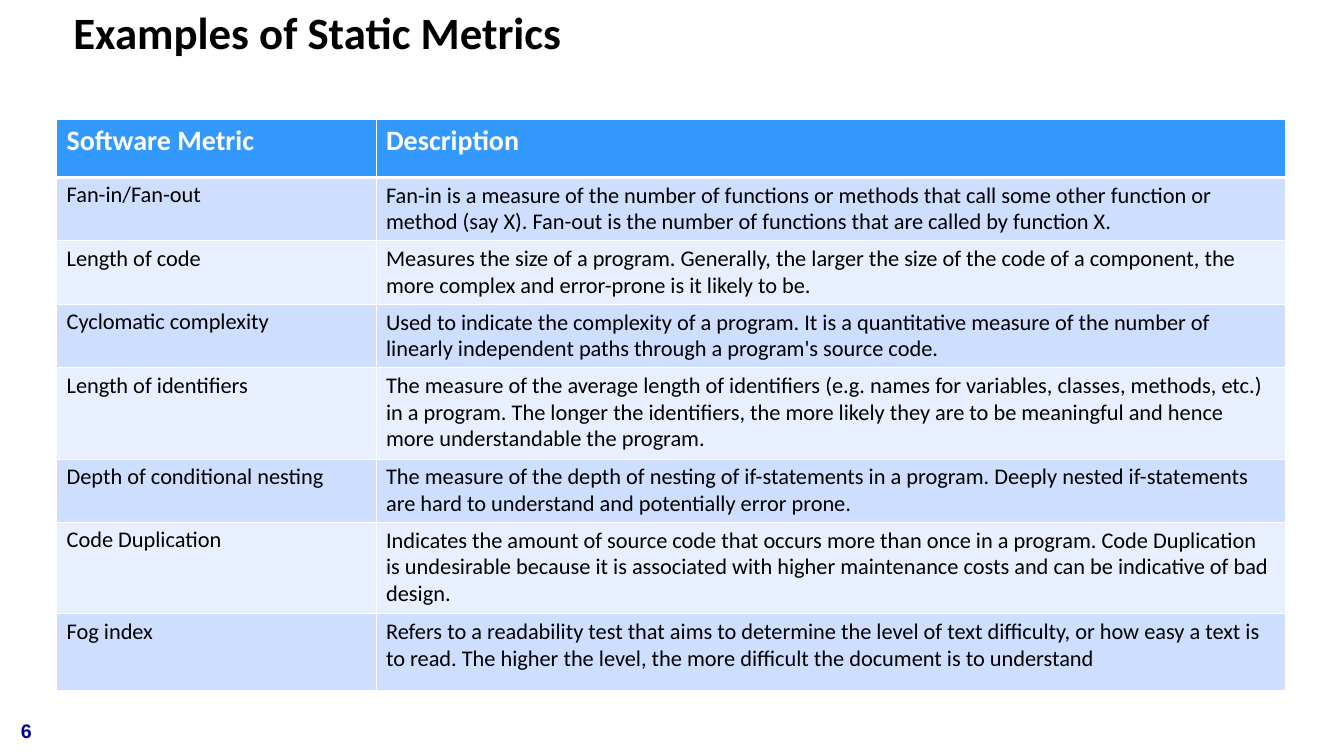
from lxml.etree import SubElement
from pptx import Presentation
from pptx.dml.color import RGBColor
from pptx.enum.text import MSO_ANCHOR
from pptx.oxml.ns import qn
from pptx.util import Cm, Pt

BLACK = RGBColor(0x00, 0x00, 0x00)
WHITE = RGBColor(0xFF, 0xFF, 0xFF)
NAVY = RGBColor(0x00, 0x00, 0x99)
HEADER_BLUE = RGBColor(0x33, 0x99, 0xFF)
BAND_DARK = RGBColor(0xCD, 0xDE, 0xFF)
BAND_LIGHT = RGBColor(0xE8, 0xEF, 0xFF)

TITLE_FONT = {"name": "Calibri", "size": Pt(32), "bold": True}
HEADER_FONT = {"name": "Calibri", "size": Pt(20), "bold": True}
BODY_FONT = {"name": "Calibri", "size": Pt(16), "bold": False}
NUMBER_FONT = {"name": "Arial", "size": Pt(14), "bold": True}

NAME_MARGINS = {"margin_left": Cm(0.25), "margin_top": Cm(0.1),
                "margin_right": 0, "margin_bottom": 0}
DESCRIPTION_MARGINS = NAME_MARGINS | {"margin_top": Cm(0.13), "margin_right": Cm(0.4)}
WIDE_MARGINS = DESCRIPTION_MARGINS | {"margin_right": Cm(0.3)}

COLUMN_WIDTHS = (8.05, 22.91)
HEADER_HEIGHT = 1.45
HEADERS = ("Software Metric", "Description")
# Metric, description, row height in cm, margins of the description
METRICS = (
    ("Fan-in/Fan-out",
     "Fan-in is a measure of the number of functions or methods that call some other "
     "function or method (say X). Fan-out is the number of functions that are called "
     "by function X.", 1.6, DESCRIPTION_MARGINS),
    ("Length of code",
     "Measures the size of a program. Generally, the larger the size of the code of a "
     "component, the more complex and error-prone is it likely to be.",
     1.6, DESCRIPTION_MARGINS),
    ("Cyclomatic complexity",
     "Used to indicate the complexity of a program. It is a quantitative measure of the "
     "number of linearly independent paths through a program's source code.",
     1.6, DESCRIPTION_MARGINS),
    ("Length of identifiers",
     "The measure of the average length of identifiers (e.g. names for variables, "
     "classes, methods, etc.) in a program. The longer the identifiers, the more likely "
     "they are to be meaningful and hence more understandable the program.",
     2.3, DESCRIPTION_MARGINS),
    ("Depth of conditional nesting",
     "The measure of the depth of nesting of if-statements in a program. Deeply nested "
     "if-statements are hard to understand and potentially error prone.",
     1.6, DESCRIPTION_MARGINS),
    ("Code Duplication",
     "Indicates the amount of source code that occurs more than once in a program. Code "
     "Duplication is undesirable because it is associated with higher maintenance costs "
     "and can be indicative of bad design.", 2.3, WIDE_MARGINS),
    ("Fog index",
     "Refers to a readability test that aims to determine the level of text difficulty, "
     "or how easy a text is to read. The higher the level, the more difficult the "
     "document is to understand", 1.94, DESCRIPTION_MARGINS),
)


def apply_format(target, values):
    for attribute, value in values.items():
        setattr(target, attribute, value)


def write(frame, text, font, color, line_spacing=None):
    paragraph = frame.paragraphs[0]
    paragraph.line_spacing = line_spacing
    run = paragraph.add_run()
    run.text = text
    apply_format(run.font, font)
    run.font.color.rgb = color


def add_label(slide, box, text, font, color, margins, line_spacing=None):
    frame = slide.shapes.add_textbox(*map(Cm, box)).text_frame
    apply_format(frame, {"word_wrap": True, "vertical_anchor": MSO_ANCHOR.TOP} | margins)
    write(frame, text, font, color, line_spacing)


def add_title(slide, box):
    margins = {"margin_left": Cm(1.37), "margin_top": Cm(0.03),
               "margin_right": 0, "margin_bottom": 0}
    add_label(slide, box, "Examples of Static Metrics", TITLE_FONT, BLACK, margins)


def add_page_number(slide, box):
    margins = {"margin_left": Cm(0.1), "margin_top": 0,
               "margin_right": 0, "margin_bottom": 0}
    add_label(slide, box, "6", NUMBER_FONT, NAVY, margins, Pt(16.4))


def set_borders(cell, widths):
    """Draw white borders; widths maps a side (L, R, T, B) to points."""
    properties = cell._tc.get_or_add_tcPr()
    for position, (side, width) in enumerate(widths.items()):
        line = SubElement(properties, qn(f"a:ln{side}"), w=str(Pt(width)))
        fill = SubElement(line, qn("a:solidFill"))
        SubElement(fill, qn("a:srgbClr"), val=str(WHITE))
        properties.insert(position, line)


def fill_cell(cell, text, font, color, background, margins, line_spacing=None):
    apply_format(cell, margins)
    cell.fill.solid()
    cell.fill.fore_color.rgb = background
    write(cell.text_frame, text, font, color, line_spacing)


def add_metrics_table(slide, left, top):
    heights = [HEADER_HEIGHT] + [height for _, _, height, _ in METRICS]
    table = slide.shapes.add_table(
        len(heights), len(COLUMN_WIDTHS), Cm(left), Cm(top),
        Cm(sum(COLUMN_WIDTHS)), Cm(sum(heights))).table
    for column, width in zip(table.columns, COLUMN_WIDTHS):
        column.width = Cm(width)
    for row, height in zip(table.rows, heights):
        row.height = Cm(height)

    for column, header in enumerate(HEADERS):
        fill_cell(table.cell(0, column), header, HEADER_FONT, WHITE,
                  HEADER_BLUE, NAME_MARGINS)
    for row, (metric, description, _, margins) in enumerate(METRICS, 1):
        band = BAND_DARK if row % 2 else BAND_LIGHT
        fill_cell(table.cell(row, 0), metric, BODY_FONT, BLACK, band, NAME_MARGINS)
        fill_cell(table.cell(row, 1), description, BODY_FONT, BLACK, band,
                  margins, Pt(19))
    for row in range(len(heights)):
        widths = {"L": 1, "R": 1, "T": 3 if row == 1 else 1, "B": 3 if row == 0 else 1}
        for column in range(len(COLUMN_WIDTHS)):
            set_borders(table.cell(row, column), widths)


def main():
    presentation = Presentation()
    apply_format(presentation, {"slide_width": Cm(33.87), "slide_height": Cm(19.05)})
    slide = presentation.slides.add_slide(presentation.slide_layouts[6])
    add_page_number(slide, (0.43, 18.14, 0.69, 0.64))
    add_title(slide, (0.48, 0.08, 30.28, 2.62))
    add_metrics_table(slide, 1.43, 3.02)
    presentation.save("out.pptx")


if __name__ == "__main__":
    main()
